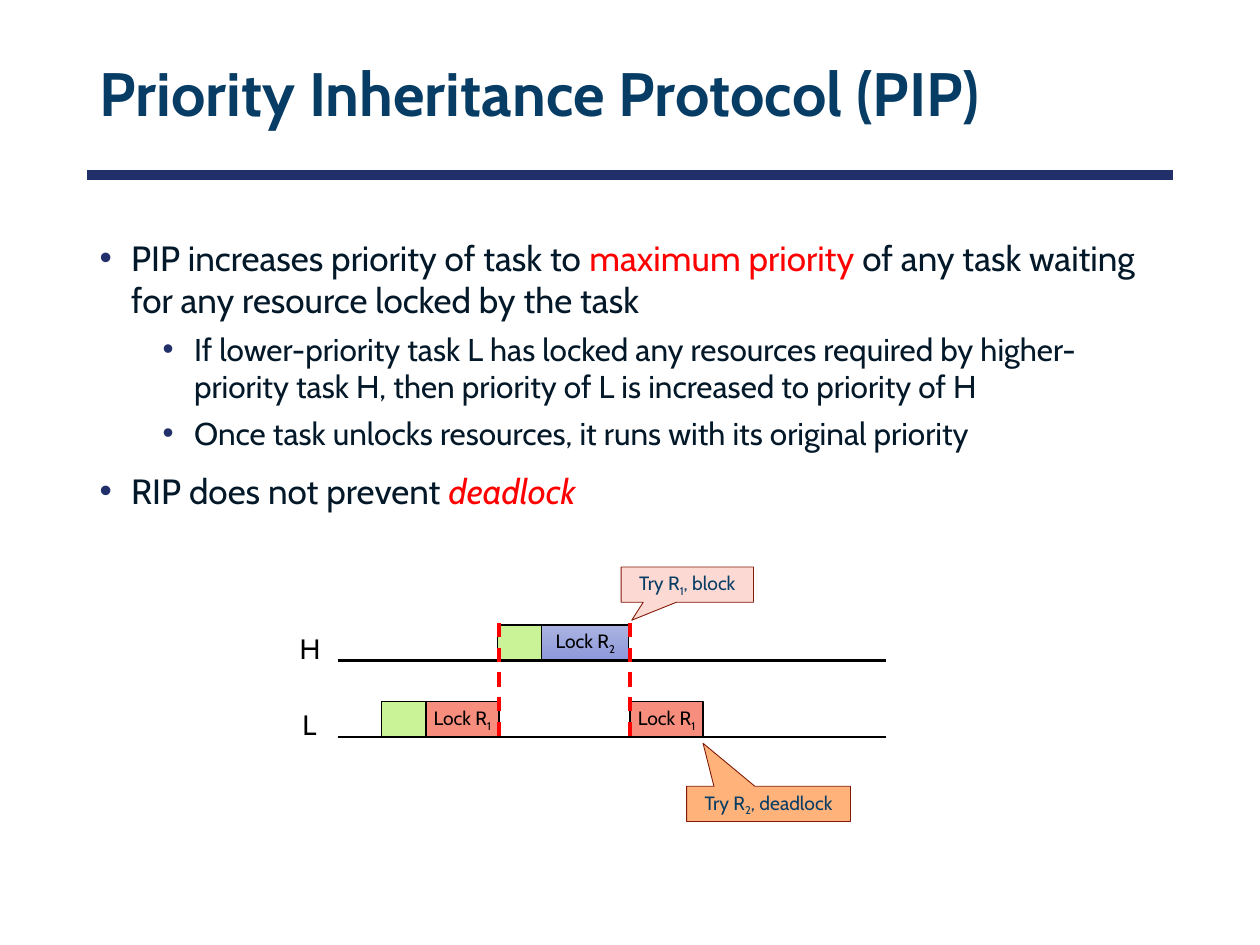
from lxml import etree
from pptx import Presentation
from pptx.dml.color import RGBColor
from pptx.enum.dml import MSO_LINE
from pptx.enum.shapes import MSO_CONNECTOR, MSO_SHAPE
from pptx.enum.text import MSO_ANCHOR, MSO_AUTO_SIZE, PP_ALIGN
from pptx.oxml.ns import qn
from pptx.util import Inches, Pt

RECTANGLE = MSO_SHAPE.RECTANGLE
CALLOUT = MSO_SHAPE.RECTANGULAR_CALLOUT
STRAIGHT = MSO_CONNECTOR.STRAIGHT
DASH = MSO_LINE.DASH
MIDDLE, TOP = MSO_ANCHOR.MIDDLE, MSO_ANCHOR.TOP
LEFT, CENTER = PP_ALIGN.LEFT, PP_ALIGN.CENTER
NO_AUTOFIT = MSO_AUTO_SIZE.NONE
FONT = "Cabin"
COLORS = {
    "title": "073C65", "rule": "21306A", "body": "031828", "accent": "FF0000",
    "black": "000000", "run": "CAF297", "lock_r1": "F78D7C",
    "lock_r2_top": "ACB4E2", "lock_r2_bottom": "8C98DA",
    "block": "FCD9D3", "deadlock": "FFB37A", "callout_line": "821A08",
}


def add_run(paragraph, text, size, color, baseline=0):
    run = paragraph.add_run()
    run.text = text
    run.font.name = FONT
    run.font.size = Pt(size)
    run.font.color.rgb = RGBColor.from_string(COLORS[color])
    if baseline:
        run.font._element.set("baseline", str(baseline * 1000))
    return run


def add_line(start_x, start_y, end_x, end_y, color, width):
    line = slide.shapes.add_connector(
        STRAIGHT, Inches(start_x), Inches(start_y), Inches(end_x), Inches(end_y))
    line.line.color.rgb = RGBColor.from_string(COLORS[color])
    line.line.width = Pt(width)
    etree.SubElement(line._element.spPr, qn("a:effectLst"))
    return line


presentation = Presentation()
presentation.slide_width = Inches(10)
presentation.slide_height = Inches(7.5)
slide = presentation.slides.add_slide(presentation.slide_layouts[1])
add_line(0.69, 1.39, 9.31, 1.39, "rule", 6)

title = slide.shapes.title
body = slide.placeholders[1]
for placeholder, top, height, anchor in ((title, 0.23, 1.08, MIDDLE), (body, 1.83, 5.43, TOP)):
    placeholder.left, placeholder.top = Inches(0.69), Inches(top)
    placeholder.width, placeholder.height = Inches(8.62), Inches(height)
    placeholder.text_frame.auto_size = NO_AUTOFIT
    placeholder.text_frame.vertical_anchor = anchor
    placeholder.text_frame.word_wrap = True

paragraph = title.text_frame.paragraphs[0]
paragraph.alignment = LEFT
paragraph.line_spacing = 0.9
add_run(paragraph, "Priority Inheritance Protocol (PIP)", 35, "title").font.bold = True

bullets = [
    (0, [("PIP increases priority of task to ", "body", False),
         ("maximum priority", "accent", False),
         (" of any task waiting for any resource locked by the task", "body", False)]),
    (1, [("If lower-priority task L has locked any resources required by higher-priority "
          "task H, then priority of L is increased to priority of H", "body", False)]),
    (1, [("Once task unlocks resources, it runs with its original priority", "body", False)]),
    (0, [("RIP does not prevent ", "body", False), ("deadlock", "accent", True)]),
]
for index, (level, runs) in enumerate(bullets):
    frame = body.text_frame
    paragraph = frame.add_paragraph() if index else frame.paragraphs[0]
    paragraph.level = level
    paragraph.space_before = Pt(5 if level else 10)
    properties = paragraph._p.get_or_add_pPr()
    properties.set("marL", str(Inches(0.75 if level else 0.25)))
    properties.set("indent", str(Inches(-0.25)))
    bullet_color = etree.SubElement(properties, qn("a:buClr"))
    etree.SubElement(bullet_color, qn("a:srgbClr"), val=COLORS["rule"])
    etree.SubElement(properties, qn("a:buFont"), typeface="Arial")
    etree.SubElement(properties, qn("a:buChar"), char="•")
    for text, color, italic in runs:
        run = add_run(paragraph, text, 18 if level else 20, color)
        if italic:
            run.font.italic = True

row_tops = {"H": 4.96, "L": 5.57}
box_height = 0.28
boxes = [
    (RECTANGLE, 5, row_tops["L"], 0.58, "lock_r1", ("Lock R", "1", ""), None),
    (RECTANGLE, 3.95, row_tops["H"], 0.35, "run", None, None),
    (RECTANGLE, 4.3, row_tops["H"], 0.69, "lock_r2", ("Lock R", "2", ""), None),
    (RECTANGLE, 3.38, row_tops["L"], 0.58, "lock_r1", ("Lock R", "1", ""), None),
    (RECTANGLE, 3.03, row_tops["L"], 0.35, "run", None, None),
    (CALLOUT, 4.93, 4.5, 1.05, "block", ("Try R", "1", ", block"), (-0.42, 1.01)),
    (CALLOUT, 5.45, 6.24, 1.3, "deadlock", ("Try R", "2", ", deadlock"), (-0.4, -1.72)),
]
for kind, left, top, width, fill, label, pointer in boxes:
    box = slide.shapes.add_shape(
        kind, Inches(left), Inches(top), Inches(width), Inches(box_height))
    box.shadow.inherit = False
    if fill == "lock_r2":
        box.fill.gradient()
        box.fill.gradient_angle = 270
        for stop, color in zip(box.fill.gradient_stops, ("lock_r2_top", "lock_r2_bottom")):
            stop.color.rgb = RGBColor.from_string(COLORS[color])
    else:
        box.fill.solid()
        box.fill.fore_color.rgb = RGBColor.from_string(COLORS[fill])
    box.line.color.rgb = RGBColor.from_string(COLORS["callout_line" if pointer else "black"])
    box.line.width = Pt(0.5 if pointer else 0.75)
    if pointer:
        box.adjustments[0], box.adjustments[1] = pointer
    if label:
        box.text_frame.word_wrap = bool(pointer)
        box.text_frame.vertical_anchor = MIDDLE
        paragraph = box.text_frame.paragraphs[0]
        paragraph.alignment = CENTER
        for text, baseline in zip(label, (0, -25, 0)):
            if text:
                add_run(paragraph, text, 11, "title" if pointer else "black", baseline)

for task, left, width in (("H", 2.28, 0.36), ("L", 2.3, 0.31)):
    top = row_tops[task]
    add_line(2.68, top + box_height, 7.03, top + box_height, "black", 1.5)
    task_label = slide.shapes.add_textbox(
        Inches(left), Inches(top), Inches(width), Inches(0.37))
    task_label.text_frame.word_wrap = False
    paragraph = task_label.text_frame.paragraphs[0]
    paragraph.alignment = CENTER
    add_run(paragraph, task, 16, "black")

for switch_x in (3.96, 5):
    add_line(switch_x, 5.84, switch_x, 4.9, "accent", 2).line.dash_style = DASH

presentation.save("out.pptx")
